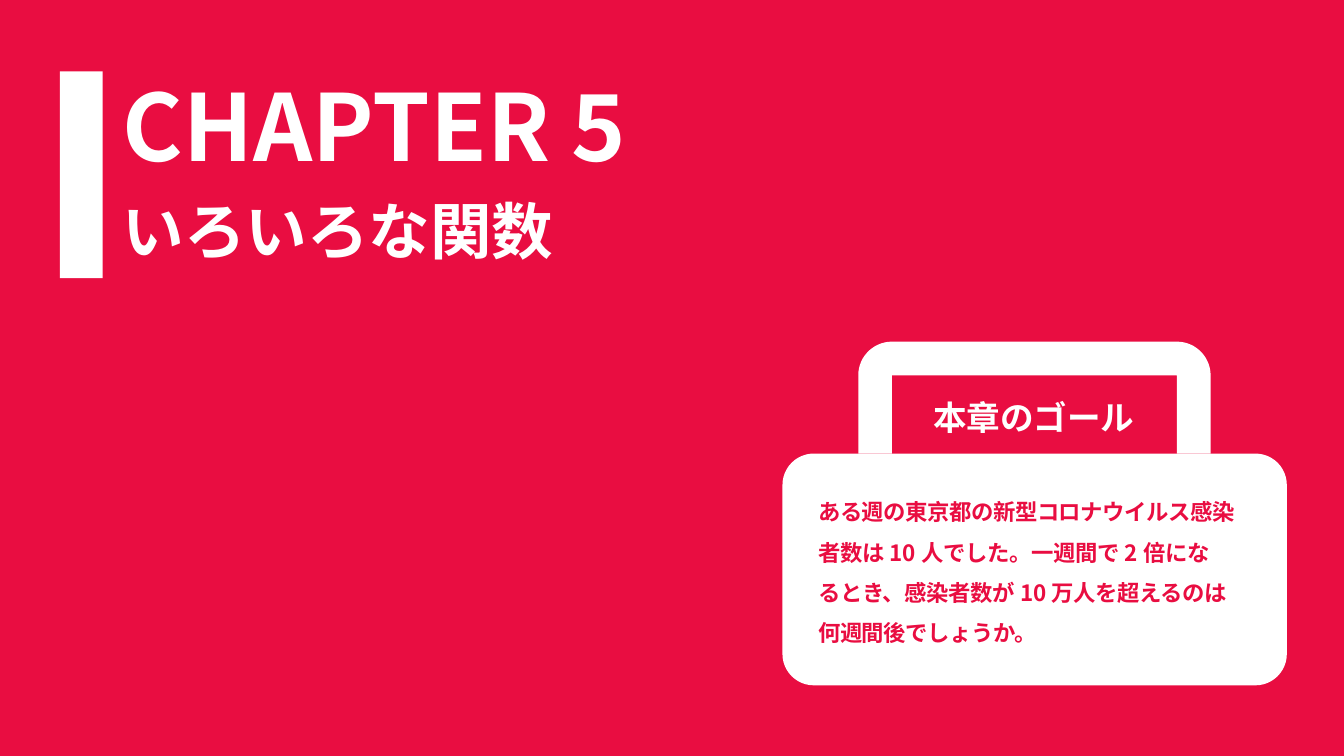
import math
from lxml import etree
from pptx import Presentation
from pptx import util as u
from pptx.dml.color import RGBColor
from pptx.enum import shapes, text
from pptx.oxml.ns import qn

RED, WHITE = "E90D41", "FFFFFF"


def color(hex_value):
    return RGBColor.from_string(hex_value)


class ChapterSlide:
    """Holds the style and the current slide; lengths are in centimetres."""

    font = "Noto Sans CJK JP"

    def __init__(self, deck):
        self.slide = deck.slides.add_slide(deck.slide_layouts[6])
        backdrop = self.slide.background.fill
        backdrop.solid()
        backdrop.fore_color.rgb = color(RED)

    def paint(self, shape):
        shape.shadow.inherit = False
        shape.fill.solid()
        shape.fill.fore_color.rgb = color(WHITE)
        shape.line.fill.background()

    def block(self, left, top, width, height, radius=0):
        preset = shapes.MSO_SHAPE
        kind = preset.ROUNDED_RECTANGLE if radius else preset.RECTANGLE
        block = self.slide.shapes.add_shape(
            kind, u.Cm(left), u.Cm(top), u.Cm(width), u.Cm(height))
        if radius:
            block.adjustments[0] = radius / min(width, height)
        self.paint(block)

    def handle(self, left, top, right, bottom, band):
        """An arch whose outer corners are rounded by the band's width."""
        inner_left, inner_right, inner_top = left + band, right - band, top + band

        def corner(center_x, start):
            angles = [math.radians(start + step) for step in range(0, 91, 6)]
            return [(center_x + band * math.cos(a), inner_top - band * math.sin(a))
                    for a in reversed(angles)]

        outline = [(left, bottom), *corner(inner_left, 90), *corner(inner_right, 0),
                   (right, bottom), (inner_right, bottom), (inner_right, inner_top),
                   (inner_left, inner_top), (inner_left, bottom)]
        points = [(u.Cm(x), u.Cm(y)) for x, y in outline]
        builder = self.slide.shapes.build_freeform(*points[0])
        builder.add_line_segments(points[1:], close=True)
        self.paint(builder.convert_to_shape())

    def words(self, left, top, width, height, paragraphs, ink, leading=1.3, gap=0):
        """Each paragraph is (size, [(words, tracking), ...])."""
        frame = self.slide.shapes.add_textbox(
            u.Cm(left), u.Cm(top), u.Cm(width), u.Cm(height)).text_frame
        frame.word_wrap = True
        frame.vertical_anchor = text.MSO_ANCHOR.TOP
        frame.margin_left = frame.margin_right = 0
        frame.margin_top = frame.margin_bottom = 0
        for index, (size, pieces) in enumerate(paragraphs):
            paragraph = frame.add_paragraph() if index else frame.paragraphs[0]
            paragraph.line_spacing = u.Pt(size * leading)
            if index and gap:
                paragraph.space_before = u.Pt(gap)
            font = paragraph.font
            font.size, font.bold, font.name = u.Pt(size), True, self.font
            font.color.rgb = color(ink)
            defaults = paragraph._p.pPr.find(qn("a:defRPr"))
            etree.SubElement(defaults, qn("a:ea")).set("typeface", self.font)
            for words, tracking in pieces:
                run = paragraph.add_run()
                run.text = words
                run._r.get_or_add_rPr().set("spc", str(round(tracking * 100)))


def main():
    deck = Presentation()
    deck.slide_width, deck.slide_height = u.Cm(33.87), u.Cm(19.05)
    chapter = ChapterSlide(deck)

    # Chapter heading with its bar
    chapter.block(1.51, 1.8, 1.08, 5.21)
    chapter.words(3.1, 1.51, 14, 5.1, [
        (66, [("CHAPTER ", 0), ("5", -0.5)]),
        (44, [("いろいろな関数", -0.1)]),
    ], WHITE, gap=5)

    # Bag: body, handle and label
    chapter.block(19.72, 11.43, 12.71, 5.84, radius=0.79)
    chapter.handle(21.63, 8.61, 30.51, 11.43, band=0.85)
    chapter.words(23.52, 9.91, 5.2, 1.1, [(24, [("本章のゴール", -0.1)])], WHITE)

    # Goal of the chapter
    chapter.words(20.62, 12.22, 10.78, 4.15, [
        (16, [("ある週の東京都の新型コロナウイルス感染", -0.3), ("者数は ", -0.1),
              ("10", 0), (" 人でした。一週間で ", -0.2), ("2", 0), (" 倍にな", -0.2)]),
        (16, [("るとき、感染者数が ", -0.2), ("10", 0),
              (" 万人を超えるのは何週間後でしょうか。", -0.3)]),
    ], RED, leading=1.8)

    deck.save("out.pptx")


if __name__ == "__main__":
    main()
